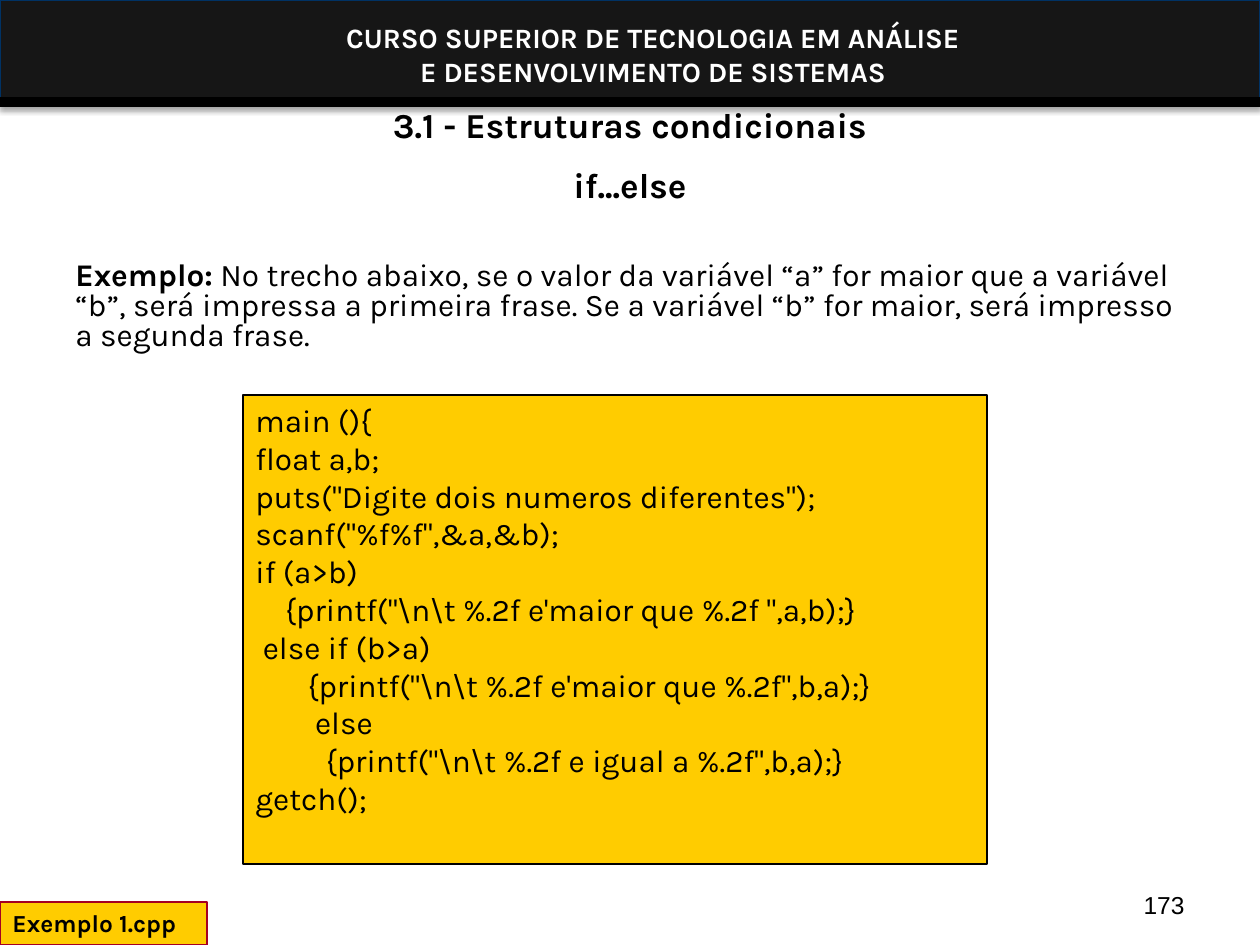
from lxml import etree
from pptx import Presentation
from pptx import util as u
from pptx.dml.color import RGBColor
from pptx.enum import shapes, text
from pptx.oxml import parse_xml
from pptx.oxml.ns import qn

COLORS = {"bar": "161616", "edge": "003264", "ink": "000000",
          "white": "FFFFFF", "gold": "FFCC00", "red": "A50021"}
NS = "http://schemas.openxmlformats.org/drawingml/2006/main"
ALIGN = text.PP_ALIGN
ANCHOR = text.MSO_ANCHOR

CODE = r"""main (){
float a,b;
puts("Digite dois numeros diferentes");
scanf("%f%f",&a,&b);
if (a>b)
    {printf("\n\t %.2f e'maior que %.2f ",a,b);}
 else if (b>a)
       {printf("\n\t %.2f e'maior que %.2f",b,a);}
        else
<tab> {printf("\n\t %.2f e igual a %.2f",b,a);}
getch();""".replace("<tab>", "\t")


def px(n):
    return u.Emu(round(n * 914400 / 126))


def rgb(name):
    return RGBColor.from_string(COLORS[name])


def write(shape, paras, size=18, font="Karla", color="ink", bold=False,
          align=ALIGN.LEFT, anchor=ANCHOR.TOP, top=6, gap=0, lead=None):
    """Each paragraph is a string or a list of (string, bold) runs."""
    frame = shape.text_frame
    frame.word_wrap = True
    frame.auto_size = text.MSO_AUTO_SIZE.NONE
    frame.vertical_anchor = anchor
    frame.margin_top = px(top)
    for i, para in enumerate(paras):
        p = frame.add_paragraph() if i else frame.paragraphs[0]
        p.alignment = align
        p.space_before = u.Pt(gap if i else 0)
        if lead:
            p.line_spacing = lead
        runs = [(para, bold)] if isinstance(para, str) else para
        for words, heavy in runs:
            r = p.add_run()
            r.text = words
            r.font.name, r.font.size = font, u.Pt(size)
            r.font.bold = heavy
            r.font.color.rgb = rgb(color)


def label(slide, box, paras, **form):
    write(slide.shapes.add_textbox(*map(px, box)), paras, **form)


def panel(slide, box, fill, line, width):
    shape = slide.shapes.add_shape(shapes.MSO_SHAPE.RECTANGLE, *map(px, box))
    shape.shadow.inherit = False
    shape.fill.solid()
    shape.fill.fore_color.rgb = rgb(fill)
    shape.line.color.rgb = rgb(line)
    shape.line.width = u.Pt(width)
    return shape


def shade(shape):
    """Soft shadow straight below the shape."""
    effects = shape._element.spPr.find(qn("a:effectLst"))
    effects.append(parse_xml(
        f'<a:outerShdw xmlns:a="{NS}" blurRad="{u.Pt(3.1)}" dist="{u.Pt(1.8)}" '
        f'dir="5400000" rotWithShape="0"><a:srgbClr val="{COLORS["ink"]}">'
        '<a:alpha val="35000"/></a:srgbClr></a:outerShdw>'))


def rule(slide, x1, y1, x2, y2, color, width):
    line = slide.shapes.add_connector(
        shapes.MSO_CONNECTOR.STRAIGHT, *map(px, (x1, y1, x2, y2)))
    line.line.color.rgb = rgb(color)
    line.line.width = u.Pt(width)
    etree.SubElement(line._element.spPr, qn("a:effectLst"))


def main():
    deck = Presentation()
    deck.slide_width, deck.slide_height = px(1260), px(945)
    slide = deck.slides.add_slide(deck.slide_layouts[5])

    # Course header
    shade(panel(slide, (0, 0, 1260, 106), "bar", "edge", 0.75))
    label(slide, (164, 15, 978, 81),
          ["CURSO SUPERIOR DE TECNOLOGIA EM ANÁLISE",
           "E DESENVOLVIMENTO DE SISTEMAS"],
          size=16, color="white", bold=True, align=ALIGN.CENTER)
    rule(slide, 0, 102, 1260, 102, "ink", 6)

    # Title
    title = slide.shapes.title
    title.left, title.top, title.width, title.height = map(
        px, (63, 53, 1134, 189))
    write(title, ["3.1 - Estruturas condicionais", "if...else"], size=20,
          bold=True, align=ALIGN.CENTER, anchor=ANCHOR.MIDDLE, top=20, gap=10)

    # Explanation
    label(slide, (63, 195, 1133, 635),
          [[("Exemplo:", True),
            (" No trecho abaixo, se o valor da variável “a” for maior que a "
             "variável “b”, será impressa a primeira frase. Se a variável “b” "
             "for maior, será impresso a segunda frase.", False)]],
          top=67, lead=0.8)

    # Code and its file name
    write(panel(slide, (243, 395, 744, 469), "gold", "ink", 1),
          CODE.split("\n"))
    write(panel(slide, (0, 902, 207, 43), "gold", "red", 0.75),
          ["Exemplo 1.cpp"], size=14, bold=True)

    # Page number
    label(slide, (903, 861, 294, 65), ["173"], size=14, font="Arial",
          align=ALIGN.RIGHT, anchor=ANCHOR.BOTTOM)

    deck.save("out.pptx")


if __name__ == "__main__":
    main()
